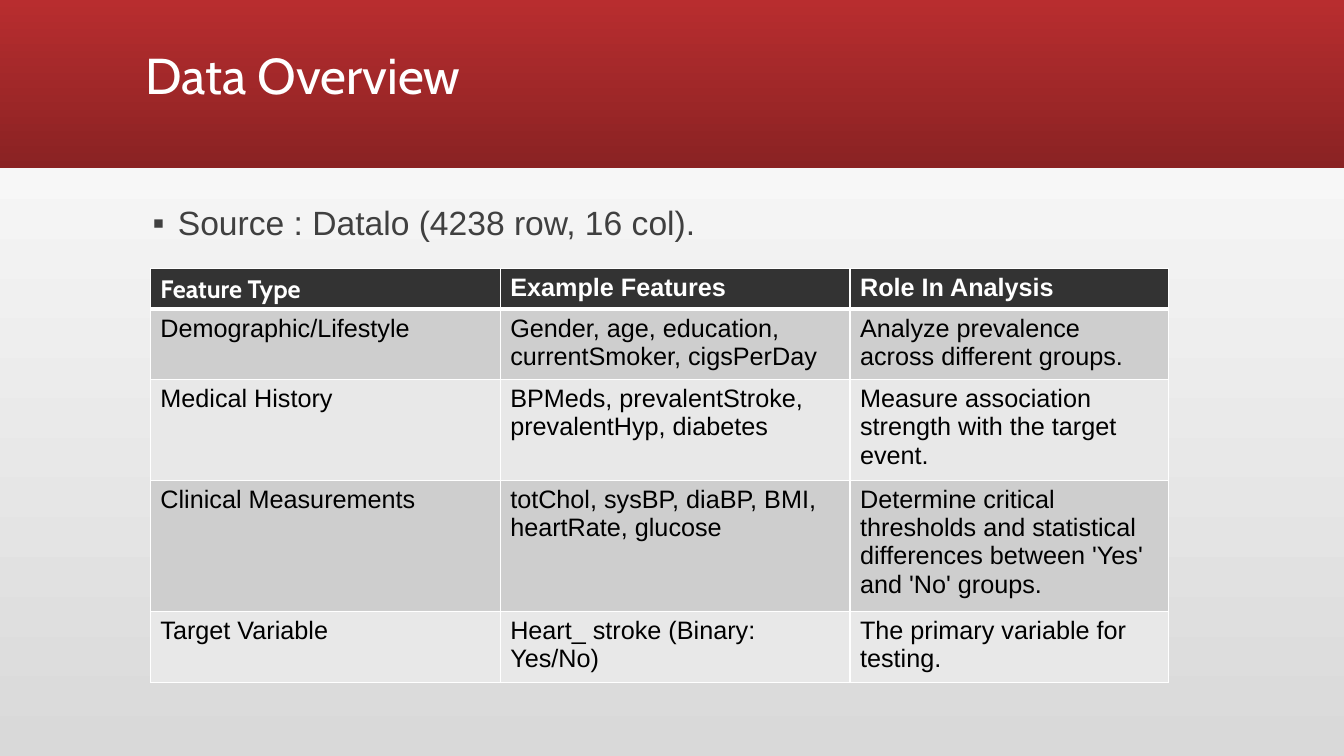
"""Builds the Data Overview slide with its feature table."""
from dataclasses import dataclass

from lxml import etree
from pptx import Presentation
from pptx import util as u
from pptx.dml.color import RGBColor
from pptx.enum import shapes, text
from pptx.oxml.ns import qn


@dataclass(frozen=True)
class Theme:
    heading_font: str = "Cabin"
    body_font: str = "Arial"
    title_size: int = 36
    body_size: int = 24
    table_size: int = 18
    white: str = "FFFFFF"
    black: str = "000000"
    body: str = "404040"
    header: str = "333333"
    bands: tuple = ("CECECE", "E8E8E8")
    red: tuple = ("B82D2F", "8A2223")
    backdrop: tuple = ("D9D9D9", "FFFFFF")
    border: int = 1
    header_rule: int = 3


def write(frame, content, *, font, size, color, bold=False, spacing=None, bullet=None, indent=0):
    paragraph = frame.paragraphs[0]
    paragraph.alignment = text.PP_ALIGN.LEFT
    paragraph.line_spacing = spacing
    if bullet:
        properties = paragraph._p.get_or_add_pPr()
        properties.set("marL", str(u.Inches(indent)))
        properties.set("indent", str(-u.Inches(indent)))
        etree.SubElement(properties, qn("a:buFont"), typeface=font)
        etree.SubElement(properties, qn("a:buChar"), char=bullet)
    run = paragraph.add_run()
    run.text = content
    run.font.name = font
    run.font.size = u.Pt(size)
    run.font.bold = bold
    run.font.color.rgb = RGBColor.from_string(color)


def fade(fill, colors, clockwise):
    fill.gradient()
    fill.gradient_angle = 360 - clockwise
    for stop, color in zip(fill.gradient_stops, colors):
        stop.color.rgb = RGBColor.from_string(color)


def draw_borders(cell, color, **widths):
    properties = cell._tc.get_or_add_tcPr()
    for side in "LRTB":
        line = etree.SubElement(properties, qn(f"a:ln{side}"), w=str(u.Pt(widths[side])))
        fill = etree.SubElement(line, qn("a:solidFill"))
        etree.SubElement(fill, qn("a:srgbClr"), val=color)


class Deck:
    COLUMNS, ROWS = 160, 90

    def __init__(self, theme):
        self.theme = theme
        self.presentation = Presentation()
        self.presentation.slide_width = u.Inches(13.33)
        self.presentation.slide_height = u.Inches(7.5)
        self.slide = None

    def across(self, columns):
        return round(self.presentation.slide_width * columns / self.COLUMNS)

    def down(self, rows):
        return round(self.presentation.slide_height * rows / self.ROWS)

    def place(self, left, top, width, height):
        return self.across(left), self.down(top), self.across(width), self.down(height)

    def add_slide(self):
        self.slide = self.presentation.slides.add_slide(self.presentation.slide_layouts[6])
        fade(self.slide.background.fill, self.theme.backdrop, 270)

    def add_band(self, *box):
        shape = self.slide.shapes.add_shape(shapes.MSO_SHAPE.RECTANGLE, *self.place(*box))
        shape.shadow.inherit = False
        shape.line.fill.background()
        fade(shape.fill, self.theme.red, 90)

    def add_text(self, content, *box, anchor=text.MSO_ANCHOR.TOP, **style):
        frame = self.slide.shapes.add_textbox(*self.place(*box)).text_frame
        frame.word_wrap = True
        frame.vertical_anchor = anchor
        write(frame, content, **style)

    def add_table(self, rows, left, top, widths, heights):
        box = self.place(left, top, sum(widths), sum(heights))
        table = self.slide.shapes.add_table(len(rows), len(widths), *box).table
        for column, width in zip(table.columns, widths):
            column.width = self.across(width)
        for row, height in zip(table.rows, heights):
            row.height = self.down(height)
        for r, row in enumerate(rows):
            for c, content in enumerate(row):
                self.fill_cell(table.cell(r, c), content, r, c)

    def fill_cell(self, cell, content, row, column):
        theme = self.theme
        header = row == 0
        draw_borders(
            cell, theme.white, L=theme.border, R=theme.border,
            T=theme.header_rule if row == 1 else theme.border,
            B=theme.header_rule if header else theme.border)
        cell.fill.solid()
        cell.fill.fore_color.rgb = RGBColor.from_string(
            theme.header if header else theme.bands[(row - 1) % 2])
        write(cell.text_frame, content, size=theme.table_size, bold=header,
              font=theme.heading_font if header and column == 0 else theme.body_font,
              color=theme.white if header else theme.black)


FEATURES = [
    ("Feature Type", "Example Features", "Role In Analysis"),
    ("Demographic/Lifestyle", "Gender, age, education, currentSmoker, cigsPerDay",
     "Analyze prevalence across different groups."),
    ("Medical History", "BPMeds, prevalentStroke, prevalentHyp, diabetes",
     "Measure association strength with the target event."),
    ("Clinical Measurements", "totChol, sysBP, diaBP, BMI, heartRate, glucose",
     "Determine critical thresholds and statistical differences between 'Yes' and 'No' groups."),
    ("Target Variable", "Heart_ stroke (Binary: Yes/No)",
     "The primary variable for testing."),
]


def main():
    theme = Theme()
    deck = Deck(theme)
    deck.add_slide()
    deck.add_band(0, 0, 160, 20)
    deck.add_text("Data Overview", 16.1, 0.6, 132, 17.4, anchor=text.MSO_ANCHOR.MIDDLE,
                  font=theme.heading_font, size=theme.title_size, color=theme.white, spacing=0.9)
    deck.add_text("Source : Datalo (4238 row, 16 col).", 17, 24, 123, 61,
                  font=theme.body_font, size=theme.body_size, color=theme.body,
                  spacing=0.9, bullet="▪", indent=0.25)
    deck.add_table(FEATURES, 17.9, 32, widths=(41.65, 41.65, 37.9),
                   heights=(4.3, 7.45, 10.7, 13.9, 7.45))
    deck.presentation.save("out.pptx")


if __name__ == "__main__":
    main()
